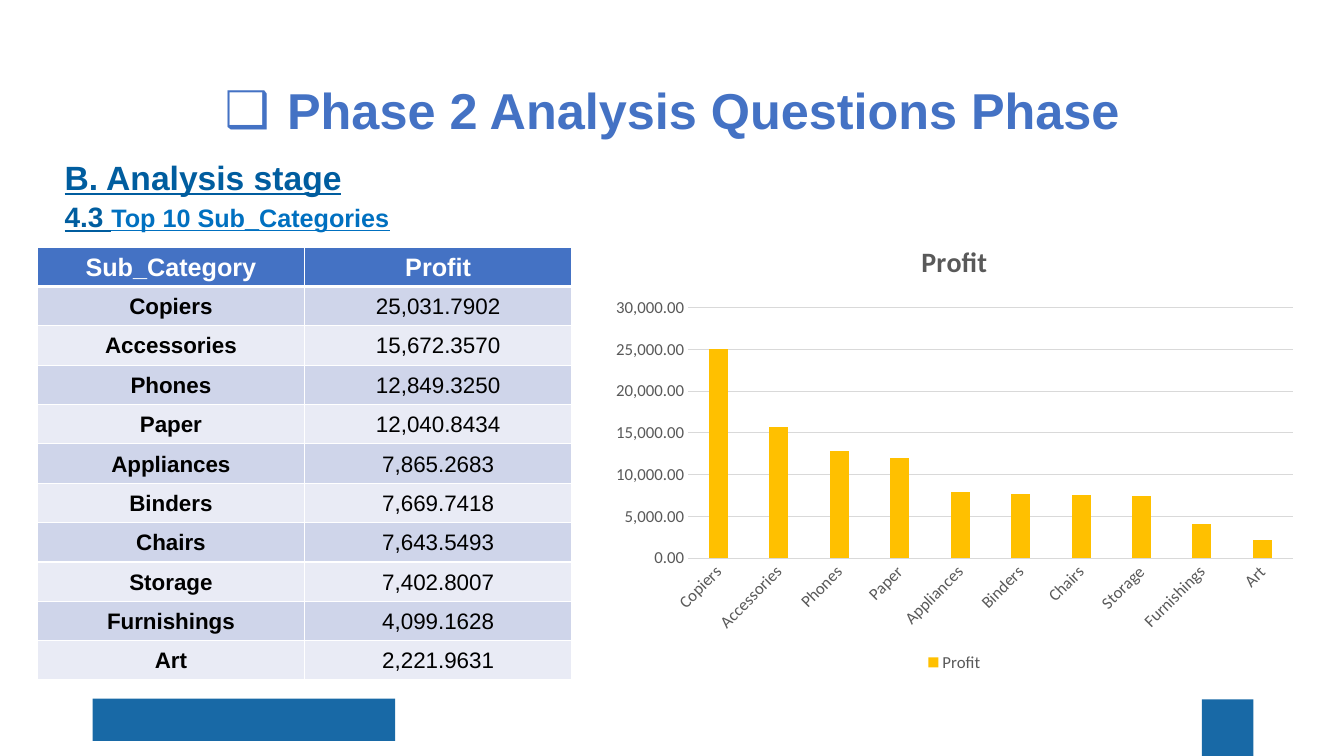
from lxml.etree import SubElement
from pptx import Presentation
from pptx.chart.data import CategoryChartData
from pptx.dml.color import RGBColor
from pptx.enum.chart import XL_CHART_TYPE, XL_LEGEND_POSITION, XL_TICK_MARK
from pptx.enum.shapes import MSO_SHAPE
from pptx.enum.text import MSO_ANCHOR, MSO_AUTO_SIZE, PP_ALIGN
from pptx.oxml.ns import qn
from pptx.util import Inches, Pt

WIDTH, HEIGHT = Inches(13.33), Inches(7.5)
COLORS = {
    "accent": "1869A6", "title": "4472C4", "stage": "005D9F", "topic": "0070C0",
    "bar": "FFC000", "label": "595959", "grid": "D9D9D9", "white": "FFFFFF",
    "black": "000000", "odd_row": "CFD5EA", "even_row": "E9EBF5",
}
PROFITS = {
    "Copiers": 25031.7902, "Accessories": 15672.3570, "Phones": 12849.3250,
    "Paper": 12040.8434, "Appliances": 7865.2683, "Binders": 7669.7418,
    "Chairs": 7643.5493, "Storage": 7402.8007, "Furnishings": 4099.1628,
    "Art": 2221.9631,
}


def rgb(name):
    return RGBColor.from_string(COLORS[name])


def area(left, top, width, height):
    return (int(WIDTH * left / 100), int(HEIGHT * top / 100),
            int(WIDTH * width / 100), int(HEIGHT * height / 100))


def set_format(target, **formats):
    for name, value in formats.items():
        setattr(target, name, value)


def set_font(font, color, size, **formats):
    set_format(font, **{"name": "Arial", "size": Pt(size), "bold": True, **formats})
    font.color.rgb = rgb(color)


def set_fill(target, color):
    target.fill.solid()
    target.fill.fore_color.rgb = rgb(color)


def add_run(paragraph, text, color, size, **formats):
    run = paragraph.add_run()
    run.text = text
    set_font(run.font, color, size, **formats)


def set_bullet(paragraph, character=None, indent=0):
    properties = paragraph._p.get_or_add_pPr()
    properties.set("marL", str(Inches(indent)))
    properties.set("indent", str(-Inches(indent)))
    if character:
        SubElement(properties, qn("a:buFont"), typeface="Arial")
        SubElement(properties, qn("a:buChar"), char=character)
    else:
        SubElement(properties, qn("a:buNone"))


def place(shape, bounds, anchor):
    set_format(shape, **dict(zip(("left", "top", "width", "height"), bounds)))
    set_format(shape.text_frame, auto_size=MSO_AUTO_SIZE.NONE, word_wrap=True,
               vertical_anchor=anchor)


def fill_title(shape):
    place(shape, area(6.9, 5.33, 86.27, 19.33), MSO_ANCHOR.MIDDLE)
    paragraph = shape.text_frame.paragraphs[0]
    set_bullet(paragraph, "❑", 0.62)
    set_format(paragraph, alignment=PP_ALIGN.CENTER, line_spacing=0.9)
    add_run(paragraph, "Phase 2 Analysis Questions Phase", "title", 36)


def fill_body(shape):
    place(shape, area(4.05, 19.73, 89.12, 70.4), MSO_ANCHOR.TOP)
    frame = shape.text_frame
    lines = (
        (frame.paragraphs[0], 0, [("B. Analysis stage", "stage", 24)]),
        (frame.add_paragraph(), 8, [("4.3 ", "stage", 20),
                                    ("Top 10 Sub_Categories", "topic", 18)]),
    )
    for paragraph, space_after, runs in lines:
        set_bullet(paragraph)
        set_format(paragraph, alignment=PP_ALIGN.LEFT, line_spacing=1.07,
                   space_before=Pt(0), space_after=Pt(space_after))
        for text, color, size in runs:
            add_run(paragraph, text, color, size, underline=True)


def add_accent(slide, bounds):
    shape = slide.shapes.add_shape(MSO_SHAPE.RECTANGLE, *bounds)
    shape.shadow.inherit = False
    set_fill(shape, "accent")
    shape.line.fill.background()


def set_borders(cell, bottom):
    properties = cell._tc.get_or_add_tcPr()
    for side, width in (("L", 1), ("R", 1), ("T", 1), ("B", bottom)):
        line = SubElement(properties, qn("a:ln" + side), w=str(Pt(width)))
        fill = SubElement(line, qn("a:solidFill"))
        SubElement(fill, qn("a:srgbClr"), val=COLORS["white"])


def fill_cell(cell, text, fill, color, size, bold, bottom):
    set_borders(cell, bottom)
    set_fill(cell, fill)
    set_format(cell, vertical_anchor=MSO_ANCHOR.MIDDLE, margin_left=Inches(0.07),
               margin_right=Inches(0.07), margin_top=0, margin_bottom=0)
    paragraph = cell.text_frame.paragraphs[0]
    set_format(paragraph, alignment=PP_ALIGN.CENTER, line_spacing=1.07,
               space_after=Pt(12))
    add_run(paragraph, text, color, size, bold=bold)


def add_profit_table(slide):
    rows = [("Sub_Category", "Profit")]
    rows += [(name, f"{profit:,.4f}") for name, profit in PROFITS.items()]
    bounds = area(2.78, 32.67, 39.76, 57.33)
    table = slide.shapes.add_table(len(rows), 2, *bounds).table
    for row_index, row in enumerate(rows):
        table.rows[row_index].height = bounds[3] // len(rows)
        for column_index, text in enumerate(row):
            cell = table.cell(row_index, column_index)
            if row_index == 0:
                fill_cell(cell, text, "title", "white", 18, True, 3)
            else:
                band = "odd_row" if row_index % 2 else "even_row"
                fill_cell(cell, text, band, "black", 16, column_index == 0, 1)


def format_axis(axis):
    set_format(axis, major_tick_mark=XL_TICK_MARK.NONE,
               minor_tick_mark=XL_TICK_MARK.NONE)
    set_font(axis.tick_labels.font, "label", 12, name="Calibri", bold=False)


def set_line(line, color):
    line.color.rgb = rgb(color)
    line.width = Pt(0.75)


def add_profit_chart(slide):
    data = CategoryChartData(number_format="#,##0.00")
    data.categories = list(PROFITS)
    data.add_series("Profit", [round(profit, -2) for profit in PROFITS.values()])
    chart = slide.shapes.add_chart(XL_CHART_TYPE.COLUMN_CLUSTERED,
                                   *area(44.79, 29.47, 52.44, 60), data).chart
    set_font(chart.font, "black", 10, name="Calibri", bold=False)
    chart.has_title = True
    add_run(chart.chart_title.text_frame.paragraphs[0], "Profit", "label", 20,
            name="Calibri")
    chart.has_legend = True
    set_format(chart.legend, position=XL_LEGEND_POSITION.BOTTOM,
               include_in_layout=False)
    set_font(chart.legend.font, "label", 12, name="Calibri", bold=False)

    plot = chart.plots[0]
    set_format(plot, gap_width=219, overlap=-27, vary_by_categories=False)
    set_fill(plot.series[0].format, "bar")

    categories, values = chart.category_axis, chart.value_axis
    format_axis(categories)
    set_line(categories.format.line, "grid")
    categories._element.find(".//" + qn("a:bodyPr")).set("rot", "-2700000")
    format_axis(values)
    values.format.line.fill.background()
    set_format(values, minimum_scale=0, maximum_scale=30000, major_unit=5000,
               has_major_gridlines=True)
    set_line(values.major_gridlines.format.line, "grid")
    set_format(values.tick_labels, number_format="#,##0.00",
               number_format_is_linked=False)


def main():
    presentation = Presentation()
    set_format(presentation, slide_width=WIDTH, slide_height=HEIGHT)
    slide = presentation.slides.add_slide(presentation.slide_layouts[1])
    add_accent(slide, area(6.9, 92.4, 22.5, 5.6))
    add_accent(slide, area(89.42, 92.5, 3.83, 7.5))
    fill_title(slide.shapes.title)
    fill_body(slide.placeholders[1])
    add_profit_chart(slide)
    add_profit_table(slide)
    presentation.save("out.pptx")


if __name__ == "__main__":
    main()
